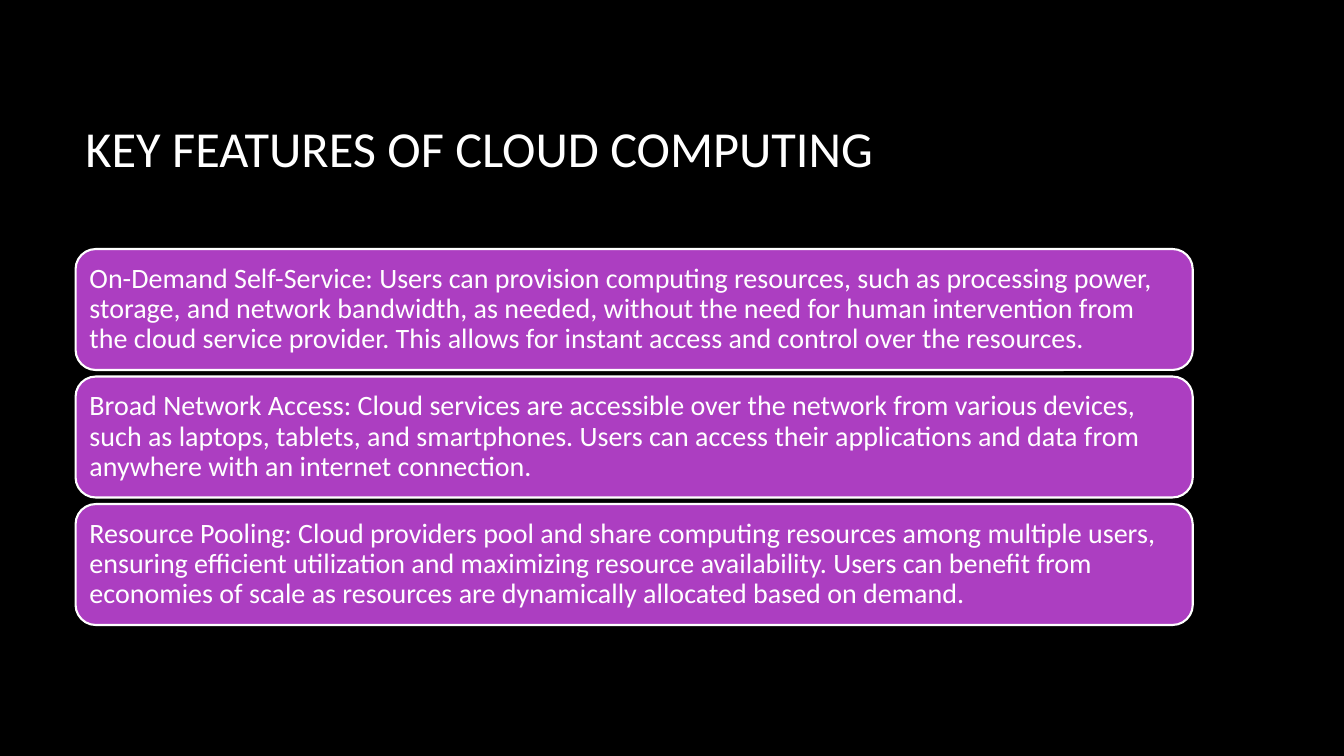
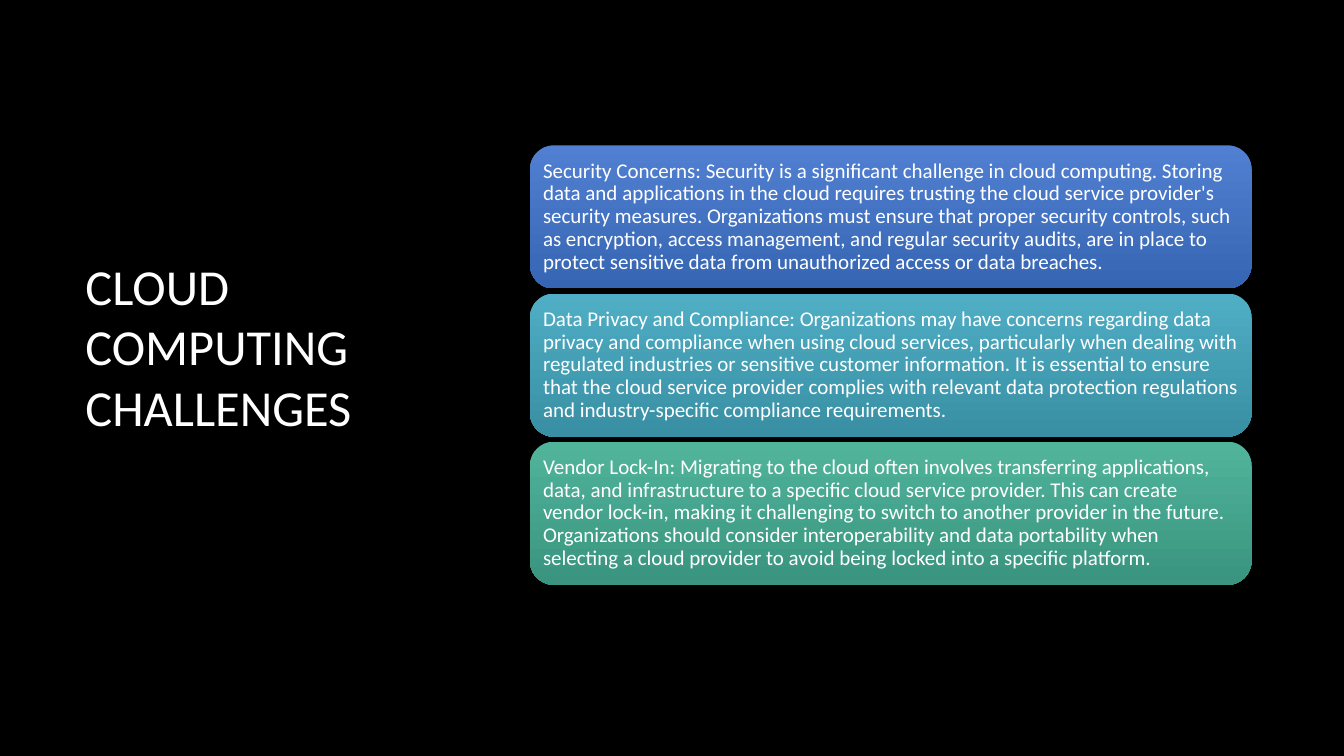
"""Builds two cloud computing slides with stacked text cards."""
from pptx import Presentation
from pptx import util as u
from pptx.dml.color import RGBColor
from pptx.enum import shapes, text

COLS, ROWS = 160, 90
CELL = u.Inches(7.5) // ROWS
FONT, BLACK, WHITE, PURPLE = "Calibri", "000000", "FFFFFF", "AC3EC1"
TITLE_PT = 36

FEATURES = [
    "On-Demand Self-Service: Users can provision computing resources, such as processing power, "
    "storage, and network bandwidth, as needed, without the need for human intervention from the "
    "cloud service provider. This allows for instant access and control over the resources.",
    "Broad Network Access: Cloud services are accessible over the network from various devices, "
    "such as laptops, tablets, and smartphones. Users can access their applications and data from "
    "anywhere with an internet connection.",
    "Resource Pooling: Cloud providers pool and share computing resources among multiple users, "
    "ensuring efficient utilization and maximizing resource availability. Users can benefit from "
    "economies of scale as resources are dynamically allocated based on demand.",
]
CHALLENGES = [
    "Security Concerns: Security is a significant challenge in cloud computing. Storing data and "
    "applications in the cloud requires trusting the cloud service provider's security measures. "
    "Organizations must ensure that proper security controls, such as encryption, access "
    "management, and regular security audits, are in place to protect sensitive data from "
    "unauthorized access or data breaches.",
    "Data Privacy and Compliance: Organizations may have concerns regarding data privacy and "
    "compliance when using cloud services, particularly when dealing with regulated industries or "
    "sensitive customer information. It is essential to ensure that the cloud service provider "
    "complies with relevant data protection regulations and industry-specific compliance "
    "requirements.",
    "Vendor Lock-In: Migrating to the cloud often involves transferring applications, data, and "
    "infrastructure to a specific cloud service provider. This can create vendor lock-in, making "
    "it challenging to switch to another provider in the future. Organizations should consider "
    "interoperability and data portability when selecting a cloud provider to avoid being locked "
    "into a specific platform.",
]
CHALLENGE_FILLS = [("5180D2", "3665B3"), ("4FAEC5", "398FA3"), ("50B49B", "3A947F")]


def color(value):
    """Turn a hex string into a colour."""
    return RGBColor.from_string(value)


def cells(*counts):
    """Turn counts of grid cells into lengths."""
    return [u.Emu(round(n * CELL)) for n in counts]


def write(sp, words, size, spacing=1.0):
    """Write left-aligned white text, centred vertically in a shape."""
    tf = sp.text_frame
    tf.word_wrap = True
    tf.vertical_anchor = text.MSO_ANCHOR.MIDDLE
    p = tf.paragraphs[0]
    p.alignment = text.PP_ALIGN.LEFT
    p.line_spacing = spacing
    r = p.add_run()
    r.text = words
    r.font.name, r.font.size = FONT, u.Pt(size)
    r.font.color.rgb = color(WHITE)


def add_slide(prs, title, box):
    """Add a black slide with its title in the given grid box."""
    s = prs.slides.add_slide(prs.slide_layouts[6])
    s.background.fill.solid()
    s.background.fill.fore_color.rgb = color(BLACK)
    write(s.shapes.add_textbox(*cells(*box)), title, TITLE_PT)
    return s


def paint(sp, fills):
    """Fill with one colour and a white outline, or with a downward gradient."""
    if len(fills) == 1:
        sp.fill.solid()
        sp.fill.fore_color.rgb = color(fills[0])
        sp.line.color.rgb = color(WHITE)
        sp.line.width = u.Pt(1.5)
        return
    sp.fill.gradient()
    sp.fill.gradient_angle = 270
    for stop, value in zip(sp.fill.gradient_stops, fills):
        stop.color.rgb = color(value)
    sp.line.fill.background()


def add_cards(s, items, fills, box, gap, size, inset):
    """Stack rounded cards downward; box is the first card on the grid."""
    left, top, width, height = box
    for i, (words, fill) in enumerate(zip(items, fills)):
        place = cells(left, top + i * (height + gap), width, height)
        sp = s.shapes.add_shape(shapes.MSO_SHAPE.ROUNDED_RECTANGLE, *place)
        sp.shadow.inherit = False
        paint(sp, fill)
        tf = sp.text_frame
        tf.margin_left = tf.margin_right = tf.margin_top = tf.margin_bottom = u.Inches(inset)
        write(sp, words, size, 0.9)


def main():
    """Build and save the presentation."""
    prs = Presentation()
    prs.slide_width, prs.slide_height = cells(COLS, ROWS)
    s = add_slide(prs, "KEY FEATURES OF CLOUD COMPUTING", (9, 8, 133, 19.1))
    add_cards(s, FEATURES, [(PURPLE,)] * len(FEATURES), (9, 29.65, 133, 14.4), 0.78, 20, 0.08)
    s = add_slide(prs, "CLOUD COMPUTING CHALLENGES", (9, 8.4, 37, 65.5))
    add_cards(s, CHALLENGES, CHALLENGE_FILLS, (63.1, 17.3, 85.9, 17.04), 0.6, 15, 0.06)
    prs.save("out.pptx")


if __name__ == "__main__":
    main()
